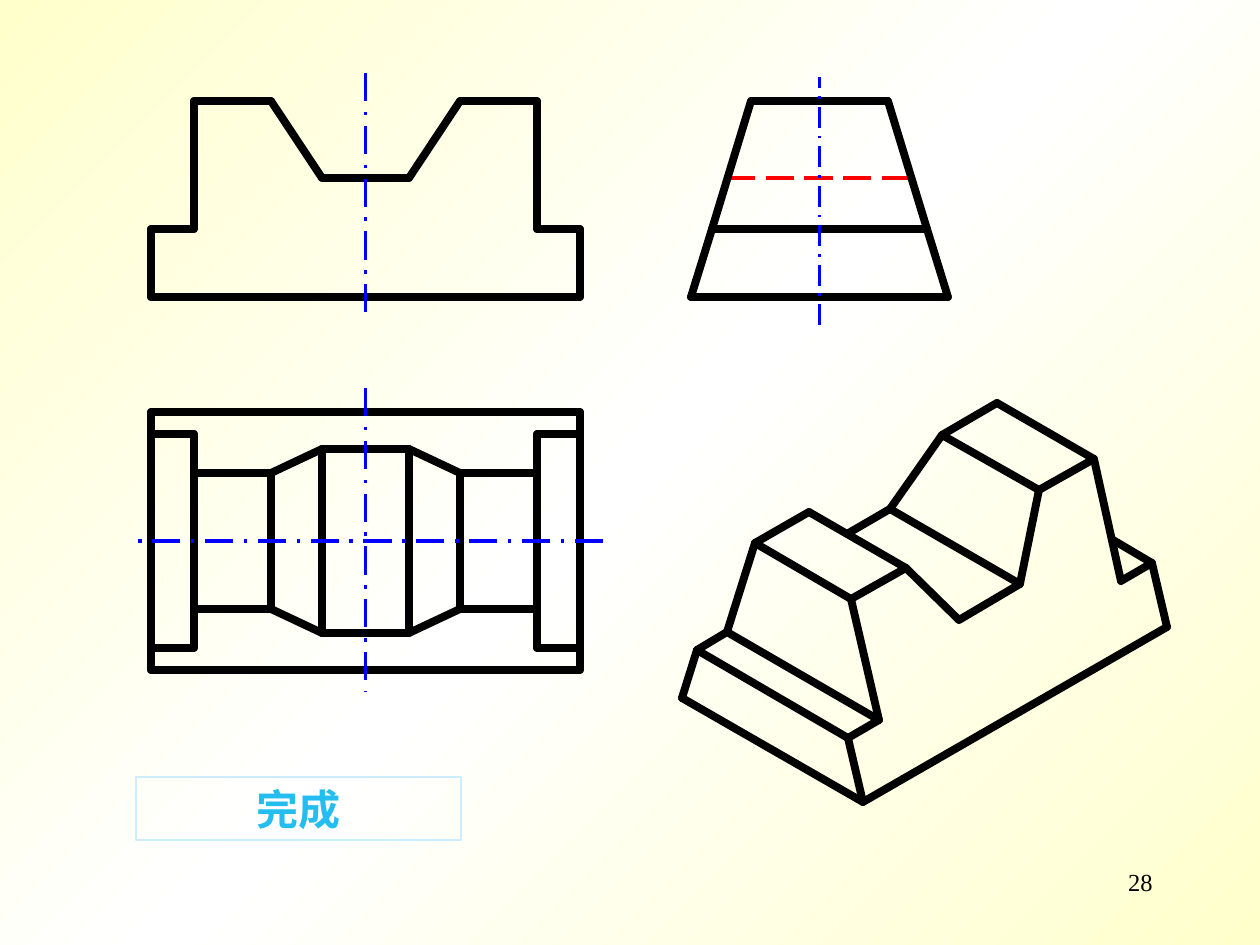
from copy import deepcopy
from dataclasses import dataclass
from itertools import pairwise

from lxml import etree
from pptx import Presentation
from pptx.dml.color import RGBColor
from pptx.enum.dml import MSO_LINE
from pptx.enum.shapes import MSO_CONNECTOR, MSO_SHAPE
from pptx.enum.text import MSO_ANCHOR, PP_ALIGN
from pptx.oxml.ns import qn
from pptx.util import Emu, Pt

STRAIGHT = MSO_CONNECTOR.STRAIGHT
RECT = MSO_SHAPE.RECTANGLE
DASH, DASHDOT = MSO_LINE.LONG_DASH, MSO_LINE.LONG_DASH_DOT
CENTER, RIGHT = PP_ALIGN.CENTER, PP_ALIGN.RIGHT
MIDDLE = MSO_ANCHOR.MIDDLE


@dataclass(frozen=True)
class Theme:
    font: str = "Times New Roman"
    ink: str = "000000"
    axis: str = "0000FF"
    hidden: str = "FF0000"
    frame: str = "CCECFF"
    label: str = "23BEEF"
    back: tuple = ("FFFFCC", "FFFFFF", "FFFFCC")
    edge: float = 4.5
    thin: float = 1.5
    hair: float = 0
    big: int = 24
    small: int = 14


THEME = Theme()


def px(n):
    return Emu(round(n * 914400 / 126))


def rgb(code):
    return RGBColor.from_string(code)


def flip_x(chain, w):
    return [(w - x, y) for x, y in chain]


def flip_y(chain, h):
    return [(x, h - y) for x, y in chain]


def draw(group, box, chain, color=THEME.ink, width=THEME.edge, dash=None):
    """Join each pair of neighbouring points; points count from the box corner."""
    left, top = box[:2]
    for (x1, y1), (x2, y2) in pairwise(chain):
        line = group.shapes.add_connector(
            STRAIGHT, px(left + x1), px(top + y1), px(left + x2), px(top + y2))
        line.line.color.rgb = rgb(color)
        line.line.width = Pt(width)
        props = line._element.spPr
        if dash:
            line.line.dash_style = dash
        else:
            props.find(qn("a:ln")).set("cap", "rnd")
        etree.SubElement(props, qn("a:effectLst"))


def draw_axis(group, box, chain, width=THEME.hair):
    draw(group, box, chain, THEME.axis, width, DASHDOT)


def front_view(slide, box):
    w, h = box[2:]
    group = slide.shapes.add_group_shape()
    half = [(0, h), (0, 128), (43, 128), (43, 0), (120, 0), (171, 77)]
    draw(group, box, half + flip_x(half, w)[::-1] + half[:1])
    draw_axis(group, box, [(w / 2, -28), (w / 2, 220)])


def top_view(slide, box):
    w, h = box[2:]
    group = slide.shapes.add_group_shape()
    for y in (0, h):
        draw(group, box, [(0, y), (w, y)])
    side = [
        [(0, 0), (0, h)],
        [(0, 22), (43, 22), (43, h - 22), (0, h - 22)],
        [(120, 61), (120, h - 61)],
        [(171, 37), (171, h - 37)],
    ]
    for chain in side:
        draw(group, box, chain)
        draw(group, box, flip_x(chain, w))
    slope = [(43, 61), (120, 61), (171, 37)]
    ridge = slope + flip_x(slope, w)[::-1]
    draw(group, box, ridge)
    draw(group, box, flip_y(ridge, h))
    draw_axis(group, box, [(w + 23, h / 2), (-15, h / 2)])
    draw_axis(group, box, [(w / 2, -24), (w / 2, h + 22)])


def side_view(slide, box):
    w, h = box[2:]
    group = slide.shapes.add_group_shape()
    draw(group, box, [(36, 77), (w - 36, 77)], THEME.hidden, THEME.hair, DASH)
    half = [(0, h), (21, 128), (60, 0)]
    draw(group, box, half + flip_x(half, w)[::-1] + half[:1])
    draw(group, box, [(21, 128), (w - 21, 128)])
    draw_axis(group, box, [(w / 2, h + 28), (w / 2, -24)], THEME.thin)


def solid_view(slide, box):
    group = slide.shapes.add_group_shape()
    chains = [
        # base and far step
        [(0, 295), (181, 399), (485, 224), (470, 160), (431, 137)],
        # far block
        [(470, 160), (439, 178), (412, 56), (315, 0), (260, 32), (357, 87),
         (412, 56)],
        [(260, 32), (208, 106), (338, 181), (357, 87)],
        # notch and near block
        [(208, 106), (165, 131)],
        [(338, 181), (277, 217), (224, 165), (127, 109), (73, 140),
         (169, 196), (224, 165)],
        [(73, 140), (45, 229), (197, 317), (169, 196)],
        # near step
        [(45, 229), (15, 247), (166, 335), (197, 317)],
        [(15, 247), (0, 295)],
        [(166, 335), (181, 399)],
    ]
    for chain in chains:
        draw(group, box, chain)


def write(shape, text, size, color, align, bold=False):
    frame = shape.text_frame
    frame.word_wrap = True
    para = frame.paragraphs[0]
    para.text = text
    para.alignment = align
    para.font.name = THEME.font
    para.font.size = Pt(size)
    para.font.bold = bold
    para.font.color.rgb = rgb(color)


def banner(slide, box):
    shape = slide.shapes.add_shape(RECT, *map(px, box))
    shape.shadow.inherit = False
    shape.fill.background()
    shape.line.color.rgb = rgb(THEME.frame)
    shape.line.width = Pt(THEME.hair)
    shape.text_frame.vertical_anchor = MIDDLE
    write(shape, "完成", THEME.big, THEME.label, CENTER, True)


def page_number(slide, box):
    shape = slide.shapes.add_textbox(*map(px, box))
    write(shape, "28", THEME.small, THEME.ink, RIGHT)


def backdrop(slide):
    fill = slide.background.fill
    fill.gradient()
    fill.gradient_angle = 315
    stops = next(slide._element.iter(qn("a:gsLst")))
    stops.insert(1, deepcopy(stops[0]))
    for i, (stop, color) in enumerate(zip(fill.gradient_stops, THEME.back)):
        stop.position = i / 2
        stop.color.rgb = rgb(color)


def main():
    deck = Presentation()
    deck.slide_width, deck.slide_height = px(1260), px(945)
    slide = deck.slides.add_slide(deck.slide_layouts[6])
    backdrop(slide)
    page_number(slide, (903, 861, 262, 63))
    front_view(slide, (151, 101, 429, 196))
    top_view(slide, (151, 412, 429, 258))
    side_view(slide, (691, 101, 257, 196))
    solid_view(slide, (682, 403, 485, 399))
    banner(slide, (136, 777, 325, 63))
    deck.save("out.pptx")


if __name__ == "__main__":
    main()
